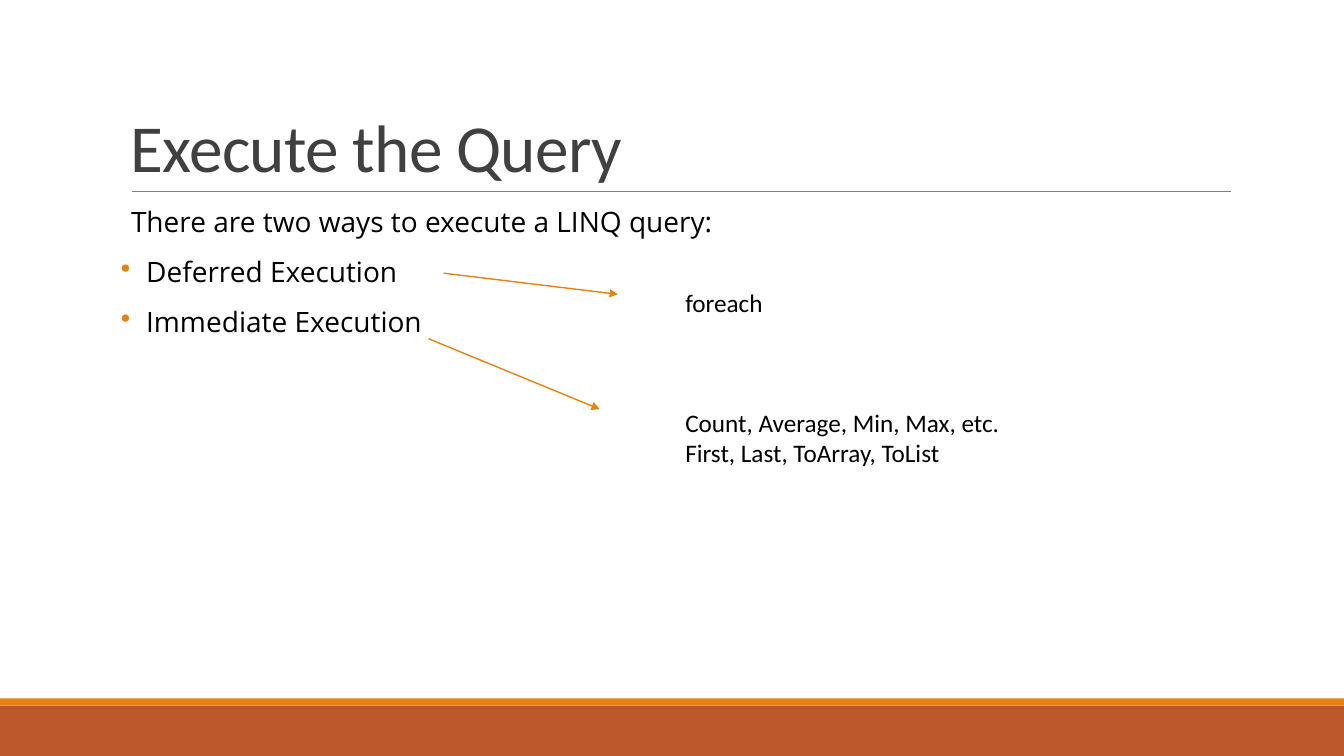
"""Build the slide on the two ways to execute a LINQ query."""
from lxml import etree
from pptx import Presentation
from pptx.dml.color import RGBColor
from pptx.enum.shapes import MSO_CONNECTOR, MSO_SHAPE
from pptx.enum.text import MSO_ANCHOR
from pptx.oxml.ns import qn
from pptx.util import Inches, Pt

RECT = MSO_SHAPE.RECTANGLE
STRAIGHT = MSO_CONNECTOR.STRAIGHT
TOP, BOTTOM = MSO_ANCHOR.TOP, MSO_ANCHOR.BOTTOM
COLORS = {"rust": "BD582C", "orange": "E48312", "rule": "808080",
          "title": "404040", "text": "000000"}
CELL = 0.1
COLS, ROWS = 133.33, 75
LEFT, WIDTH = 12, 110
BODY_FORMAT = {"line_spacing": 0.9, "space_before": Pt(12), "space_after": Pt(2)}


def grid(n):
    """Turn a number of grid cells into a length."""
    return Inches(n * CELL)


def rgb(name):
    """Look up a named colour."""
    return RGBColor.from_string(COLORS[name])


def add_band(slide, top, height, color):
    """Add a full-width footer band."""
    s = slide.shapes.add_shape(RECT, 0, grid(top), grid(COLS), grid(height))
    s.shadow.inherit = False
    s.fill.solid()
    s.fill.fore_color.rgb = rgb(color)
    s.line.fill.background()


def add_line(slide, start, end, color, width, arrow=False):
    """Add a straight line, with an arrowhead at its end if asked."""
    c = slide.shapes.add_connector(STRAIGHT, *map(grid, start + end))
    c.line.color.rgb = rgb(color)
    c.line.width = Pt(width)
    if arrow:
        etree.SubElement(c.line._get_or_add_ln(), qn("a:tailEnd"), type="triangle")
    etree.SubElement(c._element.spPr, qn("a:effectLst"))


def add_text(slide, box, lines, size, font="Calibri", color="text",
             anchor=TOP, inset=1, fmt=None):
    """Add a wrapped text box with one paragraph per line and return its frame."""
    tf = slide.shapes.add_textbox(*map(grid, box)).text_frame
    tf.word_wrap = True
    tf.vertical_anchor = anchor
    tf.margin_left = tf.margin_right = grid(inset)
    for i, line in enumerate(lines):
        p = tf.paragraphs[0] if i == 0 else tf.add_paragraph()
        for name, value in (fmt or {}).items():
            setattr(p, name, value)
        r = p.add_run()
        r.text = line
        for name, value in {"size": Pt(size), "name": font}.items():
            setattr(r.font, name, value)
        r.font.color.rgb = rgb(color)
    return tf


def set_indent(p, margin, bullet=False):
    """Set the left margin, hanging a coloured bullet in it if asked."""
    pPr = p._p.get_or_add_pPr()
    pPr.set("marL", str(grid(margin)))
    pPr.set("indent", str(-grid(margin) if bullet else 0))
    if bullet:
        clr = etree.SubElement(pPr, qn("a:buClr"))
        etree.SubElement(clr, qn("a:srgbClr"), val=COLORS["orange"])
        etree.SubElement(pPr, qn("a:buChar"), char="•")


def main():
    """Build and save the slide."""
    prs = Presentation()
    prs.slide_width, prs.slide_height = grid(COLS), grid(ROWS)
    slide = prs.slides.add_slide(prs.slide_layouts[6])

    add_band(slide, 70, 5, "rust")
    add_band(slide, 69.3, 0.7, "orange")
    add_line(slide, (13.1, 19), (122.1, 19), "rule", 0.5)

    title = add_text(slide, (LEFT, 3.1, WIDTH, 15.9), ["Execute the Query"], 48,
                     color="title", anchor=BOTTOM, fmt={"line_spacing": 0.85})
    title.paragraphs[0].runs[0].font._element.set("spc", "-50")

    body = add_text(slide, (LEFT, 20.2, WIDTH, 44),
                    ["There are two ways to execute a LINQ query:",
                     "Deferred Execution", "Immediate Execution"],
                    20, font="Open Sans", inset=0, fmt=BODY_FORMAT)
    intro, *ways = body.paragraphs
    set_indent(intro, 1)
    for p in ways:
        set_indent(p, 2.5, bullet=True)

    add_text(slide, (67, 28, 20.6, 4), ["foreach"], 18)
    add_text(slide, (67, 39.9, 38.3, 7.1),
             ["Count, Average, Min, Max, etc.", "First, Last, ToArray, ToList"], 18)
    for start, end in (((44, 27.1), (61.3, 29.2)), ((42.5, 33.6), (59.5, 40.6))):
        add_line(slide, start, end, "orange", 1, arrow=True)

    prs.save("out.pptx")


if __name__ == "__main__":
    main()
